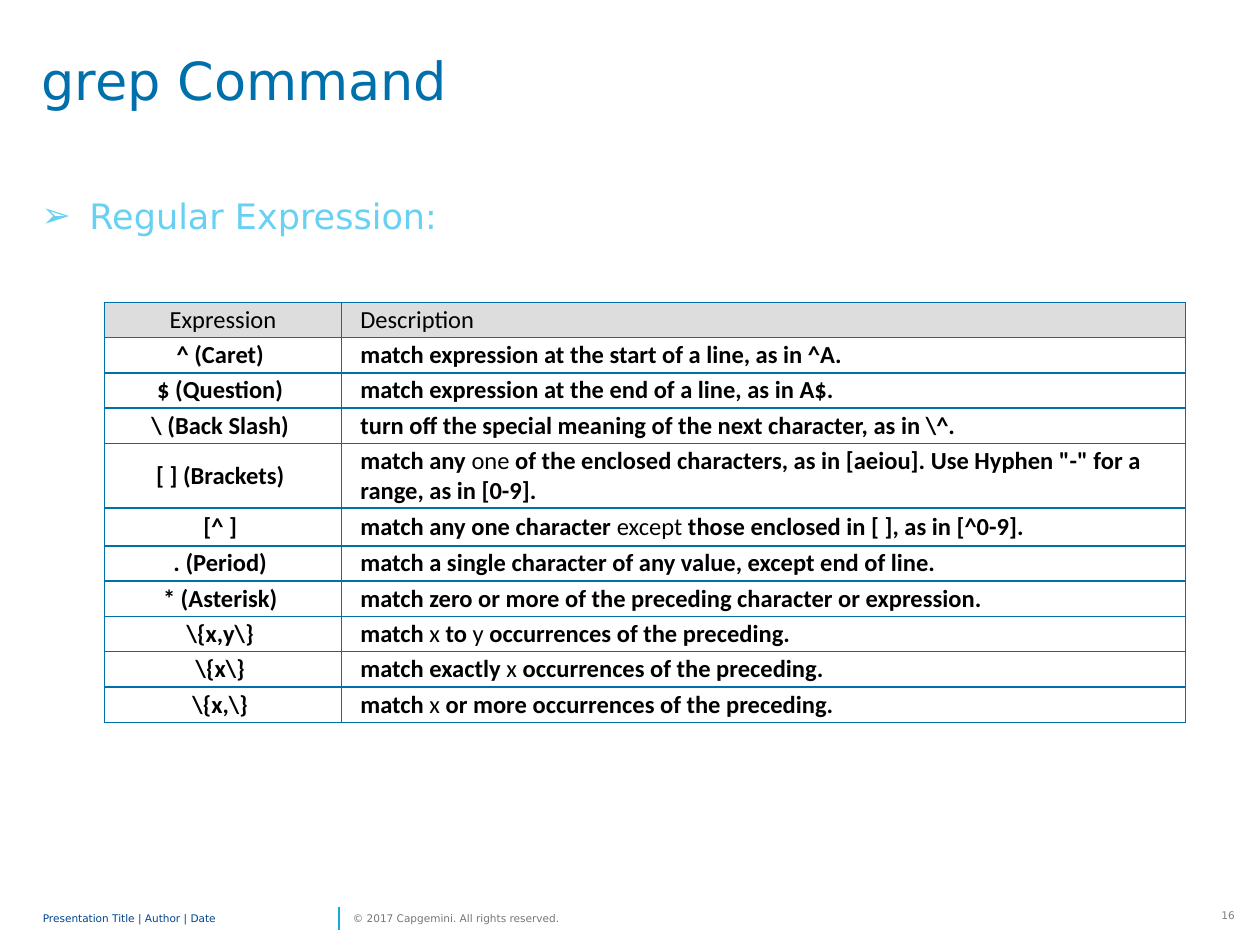
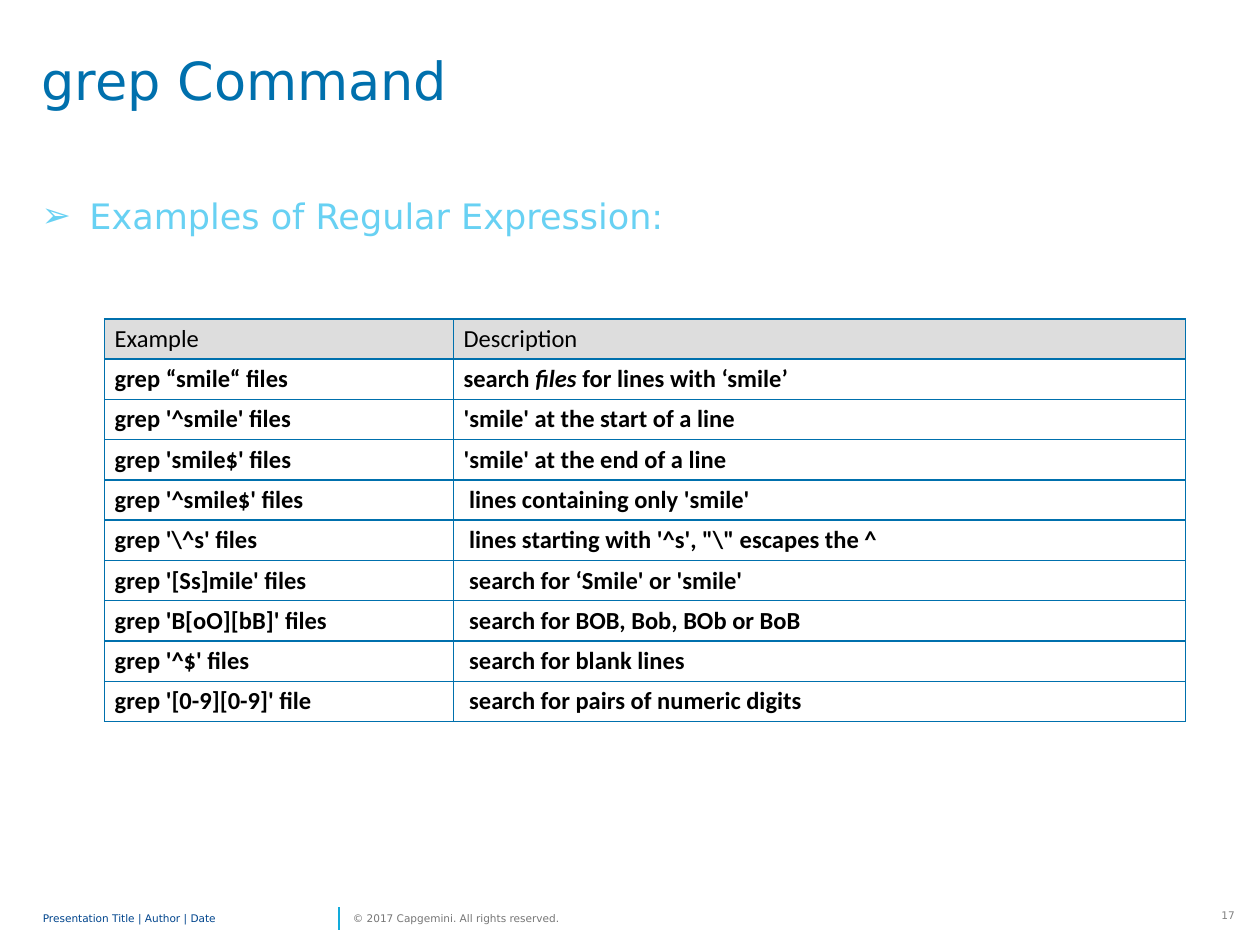
from lxml.etree import SubElement as Sub
from pptx import Presentation
from pptx.dml.color import RGBColor as Rgb
from pptx.enum.shapes import MSO_CONNECTOR as Conn
from pptx.enum.text import MSO_ANCHOR as Anchor, MSO_AUTO_SIZE as Fit, PP_ALIGN as Align
from pptx.oxml.ns import qn
from pptx.util import Inches, Pt


class Theme:
    blue, sky, navy, cyan = "0070AD", "68D1F3", "00458D", "12ABDB"
    gray, mist, head, black = "767676", "808080", "DDDDDD", "000000"
    sans, grid = "DejaVu Sans", "Calibri"
    title, body, cell, foot = 30, 20, 14, 6
    edge = 1


def style(font, name, size, color, bold=False, italic=False):
    font.name, font.size = name, Pt(size)
    font.bold, font.italic = bold, italic
    font.color.rgb = Rgb.from_string(color)


def place(shape, box, pad=(0, 0), anchor=Anchor.TOP, wrap=True):
    shape.left, shape.top, shape.width, shape.height = map(Inches, box)
    frame = shape.text_frame
    frame.auto_size, frame.word_wrap = Fit.NONE, wrap
    frame.vertical_anchor = anchor
    frame.margin_left = frame.margin_right = Inches(pad[0])
    frame.margin_top = frame.margin_bottom = Inches(pad[1])
    return frame


# Table content: parts between bars take the other style of their slide
rules = [
    ("Expression", "Description"),
    ("^ (Caret) ", "match expression at the start of a line, as in ^A."),
    ("$ (Question) ", "match expression at the end of a line, as in A$."),
    ("\\ (Back Slash) ", r"turn off the special meaning of the next character, as in \^."),
    ("[ ] (Brackets) ", 'match any |one| of the enclosed characters, as in [aeiou]. '
                        'Use Hyphen "-" for a range, as in [0-9].'),
    ("[^ ] ", "match any one character |except| those enclosed in [ ], as in [^0-9]."),
    (". (Period) ", "match a single character of any value, except end of line."),
    ("* (Asterisk) ", "match zero or more of the preceding character or expression."),
    (r"\{x,y\} ", "match |x| to |y| occurrences of the preceding."),
    (r"\{x\} ", "match exactly |x| occurrences of the preceding."),
    (r"\{x,\} ", "match |x| or more occurrences of the preceding."),
]
samples = [
    ("Example", "Description"),
    ("grep “smile“ files", "search |files| for lines with ‘smile’"),
    ("grep '^smile' files", "'smile' at the start of a line"),
    ("grep 'smile$' files", "'smile' at the end of a line"),
    ("grep '^smile$' files", " lines containing only 'smile'"),
    (r"grep '\^s' files", r""" lines starting with '^s', "\" escapes the ^"""),
    ("grep '[Ss]mile' files", " search for ‘Smile' or 'smile'"),
    ("grep 'B[oO][bB]' files", " search for BOB, Bob, BOb or BoB"),
    ("grep '^$' files", " search for blank lines"),
    ("grep '[0-9][0-9]' file", " search for pairs of numeric digits"),
]
pages = [
    dict(num=16, lead="Regular Expression:", rows=rules, top=2.4, cols=(1.88, 6.7),
         high=0.28, tall={4: 0.51, 5: 0.3}, pad=(0.15, 0.02),
         side=Align.CENTER, mark=dict(bold=False)),
    dict(num=17, lead="Examples of Regular Expression:", rows=samples, top=2.53,
         cols=(2.77, 5.81), high=0.32, tall={}, pad=(0.08, 0.04),
         side=Align.LEFT, mark=dict(bold=True, italic=True)),
]

deck = Presentation()
deck.slide_width, deck.slide_height = Inches(10), Inches(7.5)

for page in pages:
    slide = deck.slides.add_slide(deck.slide_layouts[1])
    shapes = slide.shapes

    # Footer
    notes = [
        (str(page["num"]), (9.57, 7.17, 0.3, 0.18), (0.07, 0.04), Anchor.TOP,
         Align.RIGHT, Theme.mist, False),
        ("Presentation Title | Author | Date", (0.34, 7.17, 2.32, 0.24), (0, 0),
         Anchor.MIDDLE, Align.LEFT, Theme.navy, True),
        ("© 2017 Capgemini. All rights reserved.", (2.8, 7.17, 1.82, 0.24), (0, 0),
         Anchor.MIDDLE, Align.LEFT, Theme.gray, False),
    ]
    for text, box, pad, anchor, side, color, wrap in notes:
        frame = place(shapes.add_textbox(0, 0, 0, 0), box, pad, anchor, wrap)
        frame.text = text
        para = frame.paragraphs[0]
        para.alignment = side
        style(para.runs[0].font, Theme.sans, Theme.foot, color)
    bar = shapes.add_connector(Conn.STRAIGHT, Inches(2.69), Inches(7.38),
                               Inches(2.69), Inches(7.2))
    bar.line.color.rgb = Rgb.from_string(Theme.cyan)
    bar.line.width = Pt(Theme.edge)
    Sub(bar.element.spPr, qn("a:effectLst"))

    # Title
    frame = place(shapes.title, (0.33, 0.44, 8.98, 0.95))
    frame.text = "grep Command"
    para = frame.paragraphs[0]
    para.alignment, para.line_spacing = Align.LEFT, 0.9
    style(para.runs[0].font, Theme.sans, Theme.title, Theme.blue)

    # Lead bullet
    frame = place(slide.placeholders[1], (0.33, 1.54, 8.98, 5.63))
    frame.text = page["lead"]
    para = frame.paragraphs[0]
    props = para._p.get_or_add_pPr()
    props.set("marL", str(Inches(0.38)))
    props.set("indent", str(Inches(-0.38)))
    Sub(props, qn("a:buChar"), char="➢")
    para.space_before, para.space_after = Pt(0), Pt(4.5)
    style(para.runs[0].font, Theme.sans, Theme.body, Theme.sky)

    # Table
    rows, cols = page["rows"], page["cols"]
    highs = [page["tall"].get(i, page["high"]) for i in range(len(rows))]
    table = shapes.add_table(len(rows), len(cols), Inches(0.83), Inches(page["top"]),
                             Inches(sum(cols)), Inches(sum(highs))).table
    table.horz_banding = False
    for col, wide in zip(table.columns, cols):
        col.width = Inches(wide)
    for r, (row, high) in enumerate(zip(rows, highs)):
        table.rows[r].height = Inches(high)
        for c, text in enumerate(row):
            cell = table.cell(r, c)
            cell.vertical_anchor = Anchor.MIDDLE
            cell.margin_left = cell.margin_right = Inches(page["pad"][0])
            cell.margin_top = cell.margin_bottom = Inches(page["pad"][1])
            props = cell._tc.get_or_add_tcPr()
            for edge in ("lnL", "lnR", "lnT", "lnB"):
                line = Sub(props, qn("a:" + edge), w=str(Pt(Theme.edge)))
                Sub(Sub(line, qn("a:solidFill")), qn("a:srgbClr"), val=Theme.blue)
            if r == 0:
                cell.fill.solid()
                cell.fill.fore_color.rgb = Rgb.from_string(Theme.head)
            else:
                cell.fill.background()
            para = cell.text_frame.paragraphs[0]
            para.alignment = page["side"] if c == 0 else Align.LEFT
            for i, part in enumerate(text.split("|")):
                run = para.add_run()
                run.text = part
                look = page["mark"] if i % 2 else dict(bold=r > 0)
                style(run.font, Theme.grid, Theme.cell, Theme.black, **look)

deck.save("out.pptx")
